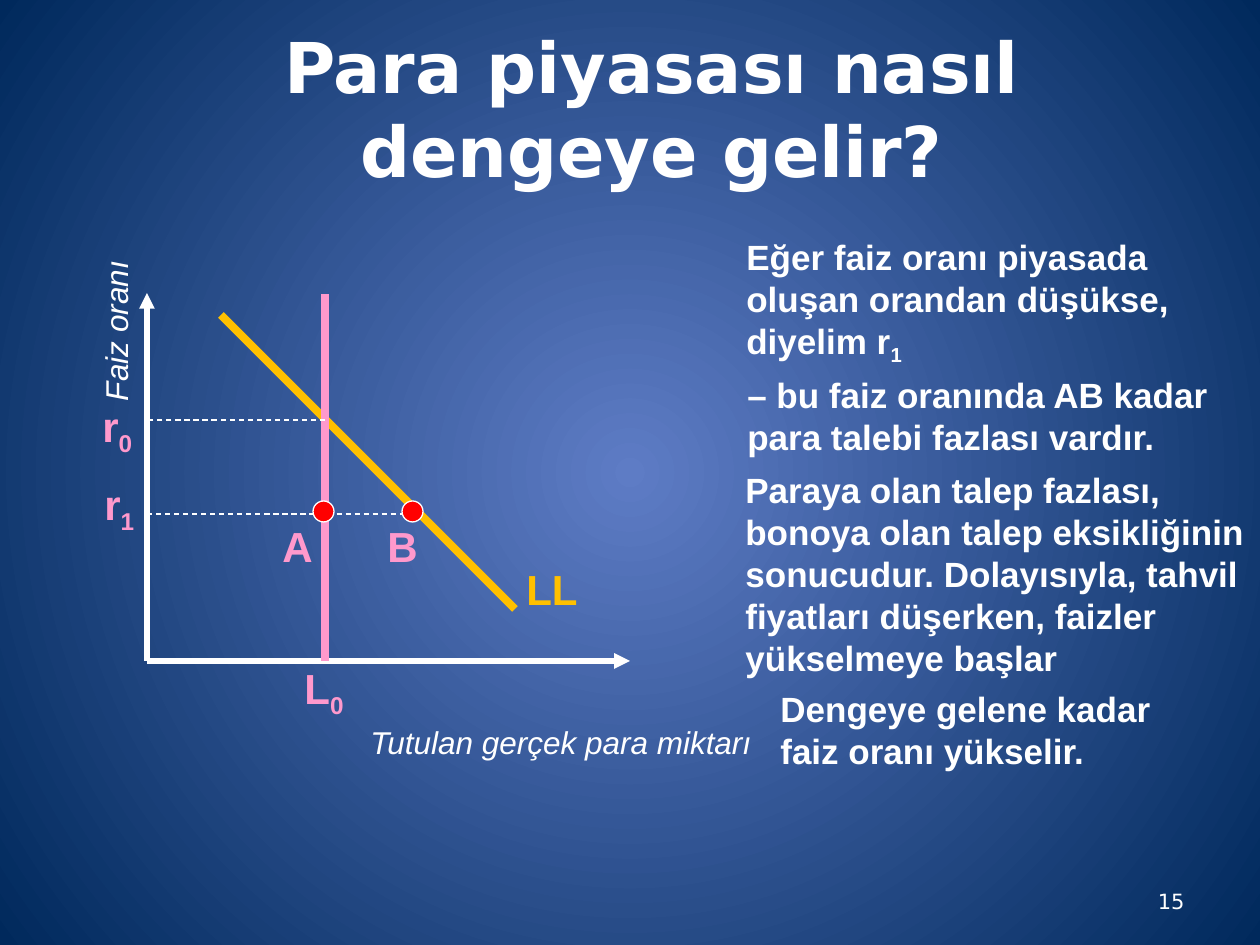
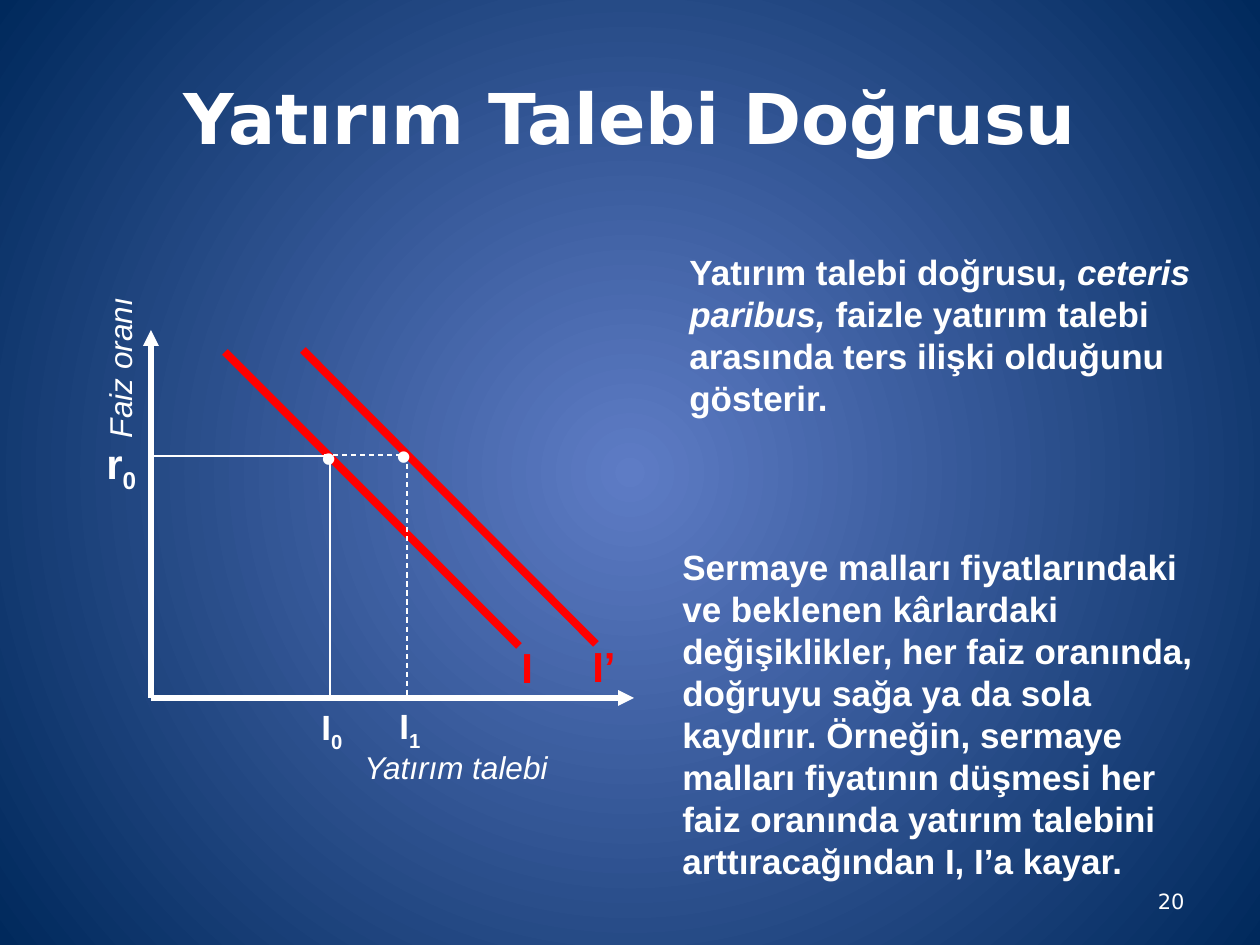
from lxml.etree import SubElement
from pptx import Presentation
from pptx.dml.color import RGBColor
from pptx.enum.dml import MSO_LINE
from pptx.enum.shapes import MSO_CONNECTOR, MSO_SHAPE
from pptx.enum.text import MSO_ANCHOR, MSO_AUTO_SIZE, PP_ALIGN
from pptx.oxml.ns import qn
from pptx.util import Inches, Pt

PX = 7257
LINE = MSO_CONNECTOR.STRAIGHT
OVAL = MSO_SHAPE.OVAL
DASH = MSO_LINE.DASH
LEFT, CENTER, RIGHT = PP_ALIGN.LEFT, PP_ALIGN.CENTER, PP_ALIGN.RIGHT
TOP, MIDDLE = MSO_ANCHOR.TOP, MSO_ANCHOR.MIDDLE
GROW, FIXED = MSO_AUTO_SIZE.SHAPE_TO_FIT_TEXT, MSO_AUTO_SIZE.NONE


class Theme:
    white = RGBColor.from_string("FFFFFF")
    pink = RGBColor.from_string("FF99CC")
    gold = RGBColor.from_string("FFC000")
    red = RGBColor.from_string("FF0000")
    glow = RGBColor.from_string("5E7CC5")
    navy = RGBColor.from_string("00295C")
    head = "DejaVu Sans"
    body = "Arial"
    title, mark, note, axis, page = Pt(40), Pt(24), Pt(20), Pt(18), Pt(12)
    thick, bold, thin = Pt(4.5), Pt(3), Pt(0.75)


def write(slide, box, text, size, color=Theme.white, font=Theme.body, bold=True,
          italic=False, sub="", wrap=False, align=LEFT, anchor=TOP, fit=GROW):
    shape = slide.shapes.add_textbox(*[v * PX for v in box])
    frame = shape.text_frame
    frame.word_wrap = wrap
    frame.auto_size = fit
    frame.vertical_anchor = anchor
    frame.text = text
    if sub:
        run = frame.paragraphs[-1].add_run()
        run.text = sub
        run._r.get_or_add_rPr().set("baseline", "-25000")
    for para in frame.paragraphs:
        para.alignment = align
        for run in para.runs:
            run.font.name = font
            run.font.size = size
            run.font.bold = bold
            run.font.italic = italic
            run.font.color.rgb = color
    return shape


def draw(slide, ends, color=Theme.white, width=Theme.thin, dash=None, arrow=False):
    line = slide.shapes.add_connector(LINE, *[v * PX for v in ends])
    line.line.color.rgb = color
    line.line.width = width
    if dash:
        line.line.dash_style = dash
    props = line._element.spPr
    if arrow:
        SubElement(props.find(qn("a:ln")), qn("a:tailEnd"), type="triangle")
    SubElement(props, qn("a:effectLst"))


deck = Presentation()
deck.slide_width, deck.slide_height = Inches(10), Inches(7.5)

master = deck.slide_master
fill = master.background.fill
fill.gradient()
for stop, color in zip(fill.gradient_stops, (Theme.glow, Theme.navy)):
    stop.color.rgb = color
grad = master.element.find(".//" + qn("p:bgPr")).find(qn("a:gradFill"))
grad.remove(grad.find(qn("a:lin")))
ring = SubElement(grad, qn("a:path"), path="circle")
SubElement(ring, qn("a:fillToRect"), l="50000", t="50000", r="50000", b="50000")

plots = [
    ("Para piyasası nasıl dengeye gelir?", (116, 31, 1071, 153), "15", (147, 661),
     "Tutulan gerçek para miktarı", (358, 717, 408, 50),
     "LL", (514, 557, 77, 63), Theme.gold, Theme.pink),
    ("Yatırım Talebi Doğrusu", (63, 38, 1134, 157), "20", (151, 698),
     "Yatırım talebi", (352, 742, 210, 50),
     "I", (509, 635, 37, 63), Theme.red, Theme.white),
]
slides = []
for title, top, page, (x, y), base, spot, name, tag, hue, tint in plots:
    slide = deck.slides.add_slide(deck.slide_layouts[6])
    slides.append(slide)
    write(slide, top, title, Theme.title, font=Theme.head, wrap=True,
          align=CENTER, anchor=MIDDLE, fit=FIXED)
    write(slide, (903, 876, 294, 50), page, Theme.page, font=Theme.head, bold=False,
          wrap=True, align=RIGHT, anchor=MIDDLE, fit=FIXED)
    draw(slide, (x, y, x + 483, y), width=Theme.bold, arrow=True)
    draw(slide, (x, y, x, y - 368), width=Theme.bold, arrow=True)
    write(slide, spot, base, Theme.axis, bold=False, italic=True)
    rate = write(slide, (x - 114, y - 355, 165, 50), "Faiz oranı", Theme.axis,
                 bold=False, italic=True)
    rate.rotation = 270
    draw(slide, (x + 74, y - 346, x + 368, y - 52), hue, Theme.thick)
    write(slide, tag, name, Theme.mark, hue)
    write(slide, (x - 57, y - 267, 57, 63), "r", Theme.mark, tint, sub="0")

money, invest = slides

draw(money, (325, 661, 325, 294), Theme.pink, Theme.thick)
draw(money, (325, 420, 147, 420), dash=DASH)
draw(money, (147, 514, 420, 514), dash=DASH)
for box, text, sub in [
    ((292, 656, 67, 63), "L", "0"),
    ((92, 472, 57, 63), "r", "1"),
    ((270, 514, 55, 63), "A", ""),
    ((375, 514, 55, 63), "B", ""),
]:
    write(money, box, text, Theme.mark, Theme.pink, sub=sub)
for left in (313, 402):
    dot = money.shapes.add_shape(OVAL, left * PX, 501 * PX, 21 * PX, 21 * PX)
    dot.shadow.inherit = False
    dot.fill.solid()
    dot.fill.fore_color.rgb = Theme.red
    dot.line.color.rgb = Theme.white
    dot.line.width = Theme.thin
for box, text, sub in [
    ((734, 229, 457, 139),
     "Eğer faiz oranı piyasada\noluşan orandan düşükse,\ndiyelim r", "1"),
    ((735, 367, 495, 97),
     "– bu faiz oranında AB kadar\npara talebi fazlası vardır.", ""),
    ((733, 462, 538, 224),
     "Paraya olan talep fazlası,\nbonoya olan talep eksikliğinin\n"
     "sonucudur. Dolayısıyla, tahvil\nfiyatları düşerken, faizler\nyükselmeye başlar", ""),
    ((768, 681, 404, 97), "Dengeye gelene kadar\nfaiz oranı yükselir.", ""),
]:
    write(money, box, text, Theme.note, sub=sub)

draw(invest, (330, 698, 330, 456))
draw(invest, (330, 456, 151, 456))
draw(invest, (303, 350, 596, 644), Theme.red, Theme.thick)
draw(invest, (324, 455, 407, 455), dash=DASH)
draw(invest, (407, 455, 407, 697), dash=DASH)
write(invest, (580, 634, 49, 63), "I’", Theme.mark, Theme.red)
for left, top, sub in [(309, 699, "0"), (387, 698, "1")]:
    write(invest, (left, top, 48, 54), "I", Theme.note, sub=sub)
for left, top in [(309, 425), (384, 423)]:
    write(invest, (left, top, 53, 63), "•", Theme.mark, bold=False, wrap=True)

law = write(invest, (677, 244, 535, 180), "Yatırım talebi doğrusu, ", Theme.note, wrap=True)
para = law.text_frame.paragraphs[0]
for text, slant in [
    ("ceteris paribus, ", True),
    ("faizle yatırım talebi arasında ters ilişki olduğunu gösterir.", False),
]:
    run = para.add_run()
    run.text = text
    run.font.name = Theme.body
    run.font.size = Theme.note
    run.font.bold = True
    run.font.italic = slant
    run.font.color.rgb = Theme.white
write(invest, (670, 539, 546, 349),
      "Sermaye malları fiyatlarındaki ve beklenen kârlardaki değişiklikler, "
      "her faiz oranında, doğruyu sağa ya da sola kaydırır. Örneğin, sermaye "
      "malları fiyatının düşmesi her faiz oranında yatırım talebini "
      "arttıracağından I, I’a kayar.", Theme.note, wrap=True)

deck.save("out.pptx")
